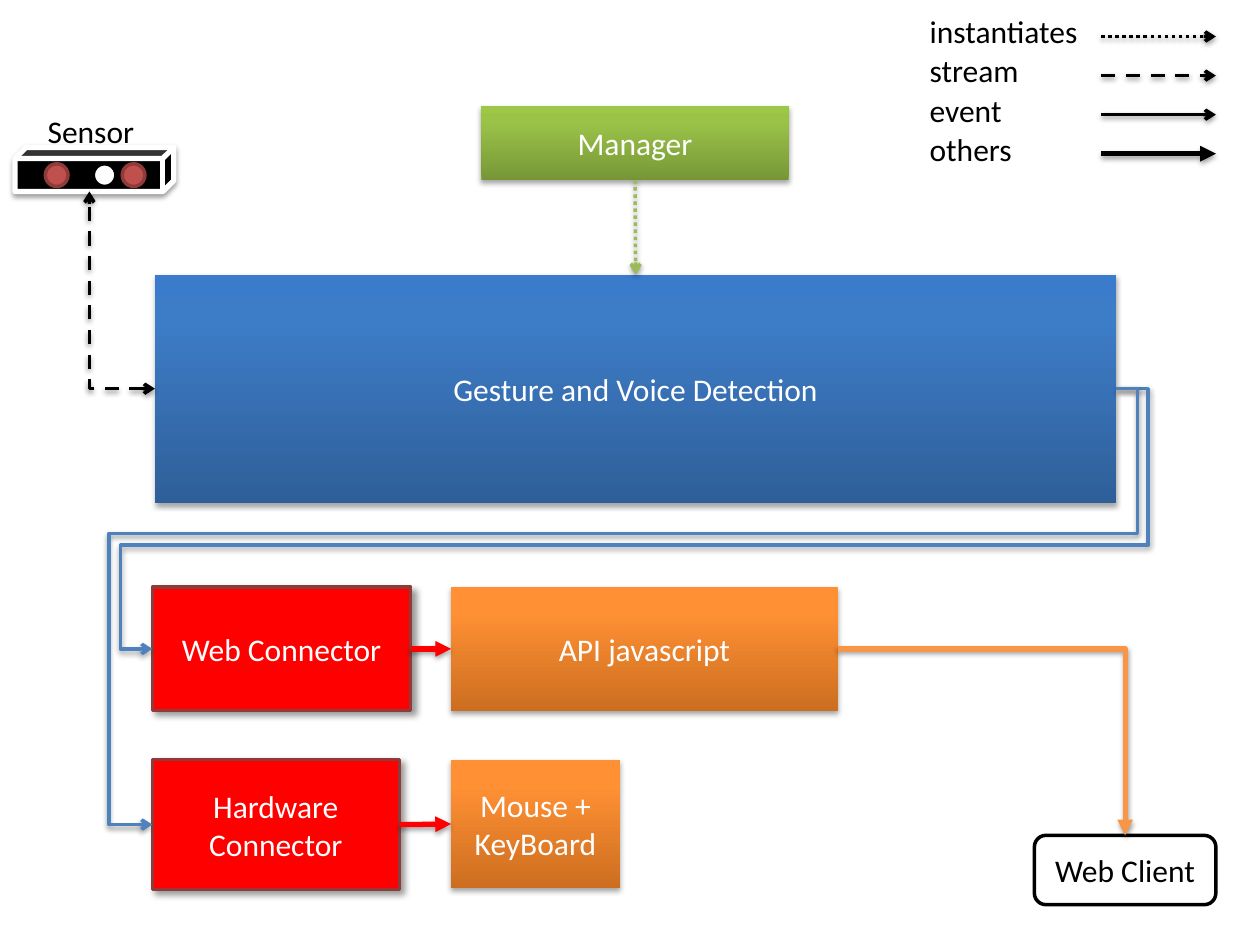
from copy import deepcopy

from lxml.etree import SubElement
from pptx import Presentation
from pptx.dml.color import RGBColor
from pptx.enum.dml import MSO_LINE as DASH
from pptx.enum.shapes import MSO_CONNECTOR as CONN, MSO_SHAPE as SHAPE
from pptx.enum.text import MSO_ANCHOR, PP_ALIGN
from pptx.oxml.ns import qn
from pptx.util import Inches, Pt

BLACK, WHITE = RGBColor(0, 0, 0), RGBColor(255, 255, 255)
RED, DARK_RED = RGBColor(0xFF, 0, 0), RGBColor(0x8E, 0x3B, 0x39)
LENS = RGBColor(0xC0, 0x50, 0x4D)
BLUE = RGBColor(0x4F, 0x81, 0xBD)
ORANGE = RGBColor(0xF7, 0x96, 0x46)
GREEN = RGBColor(0x9B, 0xBB, 0x59)

# Gradients run from bottom to top
STOPS = (0, 0.8, 1)
BLUES = [RGBColor.from_string(c) for c in ("2F5F99", "3D7CC7", "3A7CCB")]
ORANGES = [RGBColor.from_string(c) for c in ("CC6E20", "FF9034", "FF9136")]
GREENS = [RGBColor.from_string(c) for c in ("779737", "9BC348", "9DC746")]

# Shadows: opacity %, blur pt, distance pt, angle
SOFT, RAISED, LINE_SHADOW = (35, 3.1, 1.8, 90), (40, 4, 3, 45), (38, 3.1, 1.6, 90)

TOP, LEFT, BOTTOM, RIGHT = range(4)

# text, place, format
BOXES = [
    ("Web Client", (8.21, 6.63, 1.44, 0.55),
     dict(kind=SHAPE.ROUNDED_RECTANGLE, fill=WHITE, line=(BLACK, 2), color=BLACK)),
    ("Gesture and Voice Detection", (1.23, 2.18, 7.63, 1.81), dict(fill=BLUES, shadow=SOFT)),
    ("Web Connector", (1.21, 4.66, 2.05, 0.98),
     dict(fill=RED, line=(DARK_RED, 2), shadow=RAISED)),
    ("API javascript", (3.58, 4.66, 3.07, 0.98), dict(fill=ORANGES, shadow=SOFT)),
    ("Mouse + KeyBoard", (3.58, 6.03, 1.34, 1.02), dict(fill=ORANGES, shadow=SOFT)),
    ("Hardware Connector", (1.21, 6.03, 1.96, 1.03),
     dict(fill=RED, line=(DARK_RED, 2), shadow=RAISED)),
    ("Manager", (3.82, 0.84, 2.44, 0.59), dict(fill=GREENS, shadow=SOFT)),
]

# from box, side, to box, side, format
LINKS = [
    ("Gesture and Voice Detection", RIGHT, "Web Connector", LEFT,
     dict(color=BLUE, bend="bentConnector5", adjust=(-0.033, 0.6, 1.033))),
    ("Gesture and Voice Detection", RIGHT, "Hardware Connector", LEFT,
     dict(color=BLUE, bend="bentConnector5", adjust=(-0.022, 0.332, 1.045))),
    ("Web Connector", RIGHT, "API javascript", LEFT,
     dict(color=RED, width=3, tail="triangle")),
    ("Hardware Connector", RIGHT, "Mouse + KeyBoard", LEFT,
     dict(color=RED, width=3, tail="triangle")),
    ("API javascript", RIGHT, "Web Client", TOP,
     dict(color=ORANGE, width=3, tail="triangle", bend="bentConnector2")),
    ("Manager", BOTTOM, "Gesture and Voice Detection", TOP,
     dict(color=GREEN, dash=DASH.ROUND_DOT)),
]

LEGEND = [
    ("instantiates", 1.39, dict(dash=DASH.ROUND_DOT)),
    ("stream", 0.91, dict(dash=DASH.DASH)),
    ("event", 0.78, dict()),
    ("others", 0.86, dict(width=3, tail="triangle")),
]
LEGEND_STEP = 0.31

SENSOR_CUBE = (0.12, 1.17, 1.26, 0.35)
SENSOR_EYES = [(0.36, LENS, DARK_RED), (0.97, LENS, DARK_RED), (0.74, WHITE, BLACK)]


def add_effect(shape, shadow):
    """Give the shape the shadow, or an empty effect list for none."""
    effects = SubElement(shape._element.spPr, qn("a:effectLst"))
    if shadow:
        alpha, blur, dist, angle = shadow
        outer = SubElement(effects, qn("a:outerShdw"), blurRad=str(Pt(blur)),
                           dist=str(Pt(dist)), dir=str(angle * 60000), rotWithShape="0")
        rgb = SubElement(outer, qn("a:srgbClr"), val="000000")
        SubElement(rgb, qn("a:alpha"), val=str(alpha * 1000))


def paint(sp, fill):
    if isinstance(fill, RGBColor):
        sp.fill.solid()
        sp.fill.fore_color.rgb = fill
        return
    sp.fill.gradient()
    sp.fill.gradient_angle = 90
    stop_list = sp._element.spPr.find(".//" + qn("a:gsLst"))
    stop_list.append(deepcopy(stop_list[-1]))
    for stop, position, color in zip(sp.fill.gradient_stops, STOPS, fill):
        stop.position = position
        stop.color.rgb = color


def add_shape(shapes, place, kind=SHAPE.RECTANGLE, fill=WHITE, line=None, shadow=None):
    sp = shapes.add_shape(kind, *map(Inches, place))
    paint(sp, fill)
    if line:
        sp.line.color.rgb, sp.line.width = line[0], Pt(line[1])
    else:
        sp.line.fill.background()
    add_effect(sp, shadow)
    return sp


def write(sp, text, color=BLACK, align=PP_ALIGN.LEFT, anchor=MSO_ANCHOR.TOP, wrap=False):
    tf = sp.text_frame
    tf.word_wrap, tf.vertical_anchor = wrap, anchor
    p = tf.paragraphs[0]
    p.alignment = align
    r = p.add_run()
    r.text = text
    r.font.name, r.font.size, r.font.color.rgb = "Calibri", Pt(18), color


def add_label(shapes, text, place):
    write(shapes.add_textbox(*map(Inches, place)), text)


def add_arrow(shapes, start=(0, 0), end=(0, 0), begin_at=None, end_at=None, color=BLACK,
              width=2, dash=None, head=None, tail="arrow", bend=None, adjust=()):
    """Draw an arrow between points, or between (shape, side) pairs."""
    kind = CONN.ELBOW if bend else CONN.STRAIGHT
    arrow = shapes.add_connector(kind, *map(Inches, (*start, *end)))
    if begin_at:
        arrow.begin_connect(*begin_at)
    if end_at:
        arrow.end_connect(*end_at)
    arrow.line.color.rgb, arrow.line.width = color, Pt(width)
    if dash:
        arrow.line.dash_style = dash
    ln = arrow.line._get_or_add_ln()
    for tag, style in (("a:headEnd", head), ("a:tailEnd", tail)):
        if style:
            SubElement(ln, qn(tag), type=style)
    if bend:
        geometry = arrow._element.spPr.find(qn("a:prstGeom"))
        geometry.set("prst", bend)
        for i, value in enumerate(adjust, 1):
            SubElement(geometry.find(qn("a:avLst")), qn("a:gd"), name=f"adj{i}",
                       fmla=f"val {round(value * 100000)}")
    add_effect(arrow, LINE_SHADOW)
    return arrow


def main():
    prs = Presentation()
    prs.slide_width, prs.slide_height = Inches(10), Inches(7.5)
    shapes = prs.slides.add_slide(prs.slide_layouts[6]).shapes

    sensor = shapes.add_group_shape().shapes
    cube = add_shape(sensor, SENSOR_CUBE, SHAPE.CUBE, BLACK, (WHITE, 3), LINE_SHADOW)
    for x, fill, outline in SENSOR_EYES:
        add_shape(sensor, (x, 1.3, 0.18, 0.18), SHAPE.OVAL, fill, (outline, 2))
    add_label(shapes, "Sensor", (0.28, 0.84, 1, 0.4))

    boxes = {}
    for text, place, style in BOXES:
        color = style.pop("color", WHITE)
        boxes[text] = add_shape(shapes, place, **style)
        write(boxes[text], text, color, PP_ALIGN.CENTER, MSO_ANCHOR.MIDDLE, wrap=True)

    for source, source_side, target, target_side, style in LINKS:
        add_arrow(shapes, begin_at=(boxes[source], source_side),
                  end_at=(boxes[target], target_side), **style)
    stream = add_arrow(shapes, begin_at=(boxes["Gesture and Voice Detection"], LEFT),
                       end_at=(cube, BOTTOM), dash=DASH.DASH, head="arrow",
                       bend="bentConnector2")
    stream.end_x = Inches(0.71)  # middle of the cube's front face

    for i, (text, width, style) in enumerate(LEGEND):
        offset = i * LEGEND_STEP
        add_label(shapes, text, (7.28, 0.05 + offset, width, 0.4))
        add_arrow(shapes, (8.74, 0.29 + offset), (9.65, 0.29 + offset), **style)

    prs.save("out.pptx")


if __name__ == "__main__":
    main()
